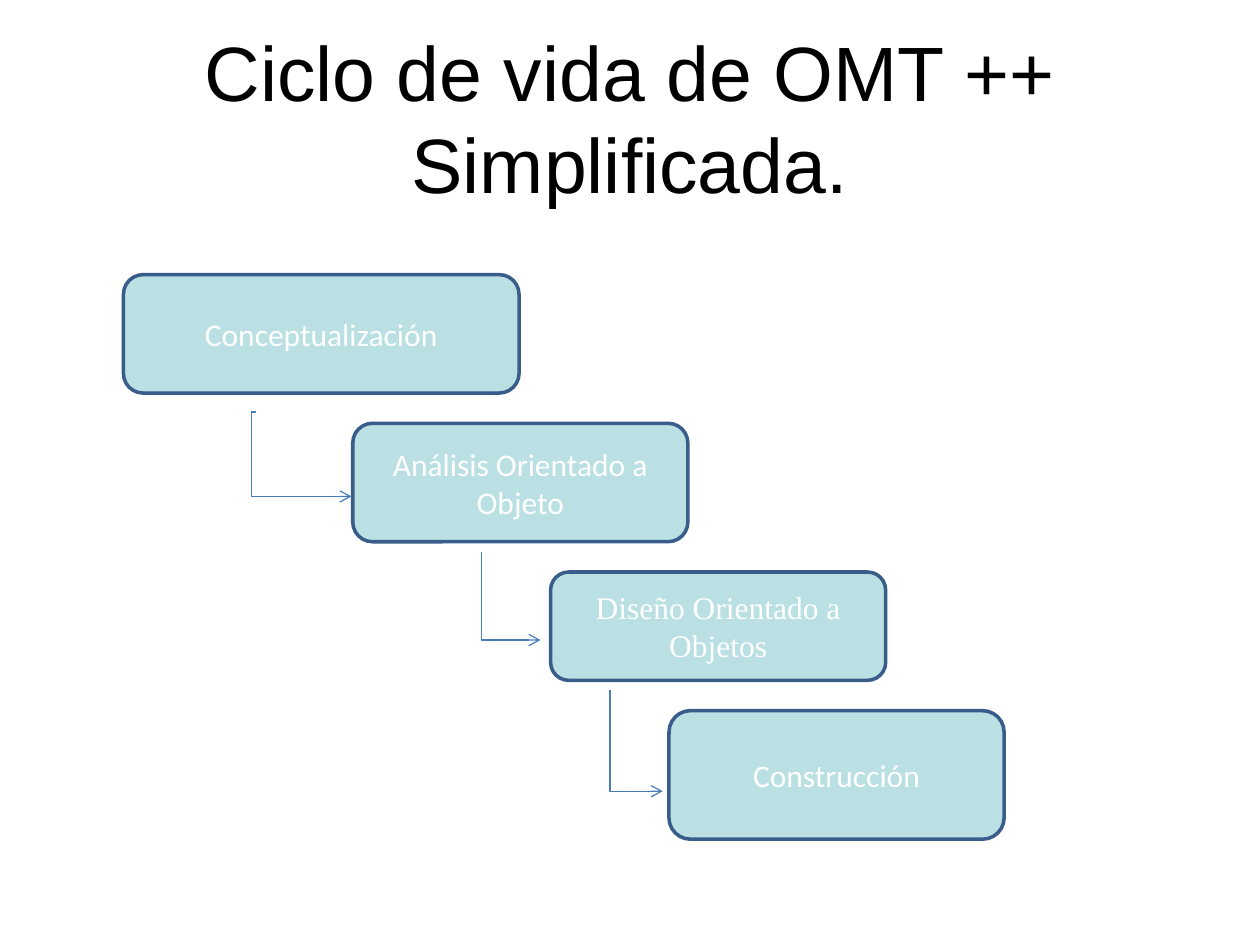
from lxml.etree import SubElement
from pptx import Presentation
from pptx.dml.color import RGBColor
from pptx.enum.shapes import MSO_CONNECTOR, MSO_SHAPE
from pptx.enum.text import MSO_ANCHOR, PP_ALIGN
from pptx.oxml.ns import qn
from pptx.util import Inches, Pt

COLORS = {
    "title": "000000",
    "stage_fill": "BBE0E3",
    "stage_line": "385D8A",
    "stage_text": "FFFFFF",
    "arrow": "4A7EBB",
}
STAGES = [
    ("Conceptualización", "Calibri", (0.98, 2.18, 3.14, 0.94)),
    ("Análisis Orientado a Objeto", "Calibri", (2.8, 3.36, 2.66, 0.94)),
    ("Diseño Orientado a Objetos", "Times New Roman", (4.37, 4.54, 2.66, 0.86)),
    ("Construcción", "Calibri", (5.31, 5.64, 2.66, 1.02)),
]
ARROWS = [
    ((2.03, 3.27, 0.76, 0.67), -4100),
    ((3.82, 4.38, 0.47, 0.7), 0),
    ((4.84, 5.48, 0.42, 0.8), 0),
]


def color(name):
    return RGBColor.from_string(COLORS[name])


def write_text(shape, text, font, size, color_name):
    tf = shape.text_frame
    frame_format = {
        "word_wrap": True,
        "vertical_anchor": MSO_ANCHOR.MIDDLE,
        "margin_left": Inches(0.1),
        "margin_right": Inches(0.1),
        "margin_top": Inches(0.05),
        "margin_bottom": Inches(0.05),
    }
    for name, value in frame_format.items():
        setattr(tf, name, value)
    p = tf.paragraphs[0]
    p.alignment = PP_ALIGN.CENTER
    r = p.add_run()
    r.text = text
    for name, value in {"name": font, "size": Pt(size), "bold": False}.items():
        setattr(r.font, name, value)
    r.font.color.rgb = color(color_name)


def place_title(s, box, text):
    title = s.shapes.title
    for name, value in zip(("left", "top", "width", "height"), box):
        setattr(title, name, Inches(value))
    write_text(title, text, "Arial", 44, "title")


def add_stage(s, box, text, font):
    sp = s.shapes.add_shape(MSO_SHAPE.ROUNDED_RECTANGLE, *map(Inches, box))
    sp.shadow.inherit = False
    sp.fill.solid()
    sp.fill.fore_color.rgb = color("stage_fill")
    sp.line.color.rgb = color("stage_line")
    sp.line.width = Pt(2)
    write_text(sp, text, font, 18, "stage_text")


def add_step_arrow(s, box, bend):
    left, top, width, height = box
    arrow = s.shapes.add_connector(
        MSO_CONNECTOR.ELBOW,
        Inches(left), Inches(top), Inches(left + width), Inches(top + height),
    )
    arrow.line.color.rgb = color("arrow")
    arrow.line.width = Pt(0.75)
    sp_pr = arrow._element.spPr
    SubElement(sp_pr.find(qn("a:ln")), qn("a:tailEnd"), type="arrow")
    SubElement(sp_pr, qn("a:effectLst"))
    adjustments = sp_pr.find(qn("a:prstGeom")).find(qn("a:avLst"))
    SubElement(adjustments, qn("a:gd"), name="adj1", fmla=f"val {bend}")


def main():
    prs = Presentation()
    prs.slide_width, prs.slide_height = Inches(10), Inches(7.5)
    s = prs.slides.add_slide(prs.slide_layouts[5])
    place_title(s, (0.5, 0.3, 9, 1.25), "Ciclo de vida de OMT ++ Simplificada.")
    for text, font, box in STAGES:
        add_stage(s, box, text, font)
    for box, bend in ARROWS:
        add_step_arrow(s, box, bend)
    prs.save("out.pptx")


if __name__ == "__main__":
    main()
